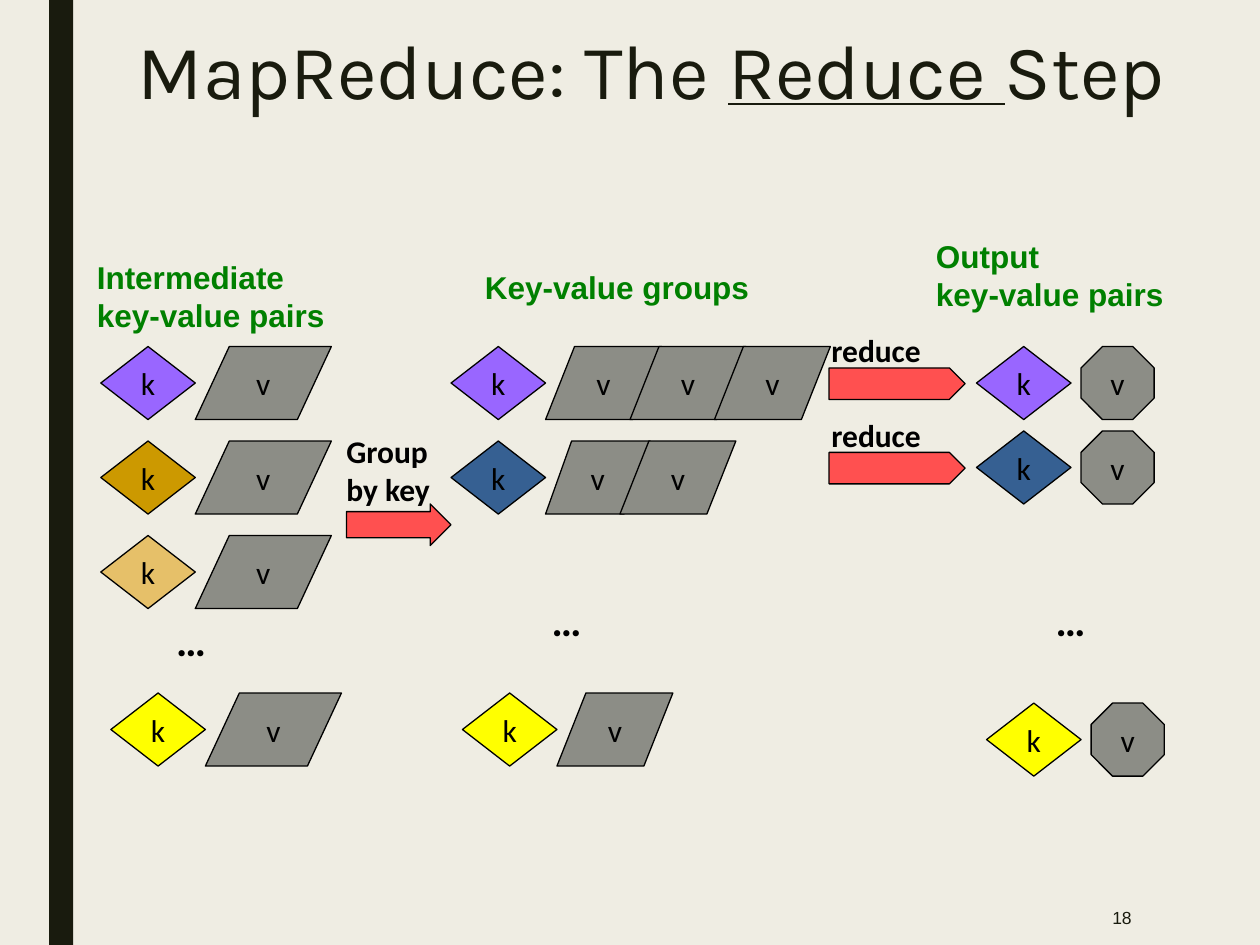
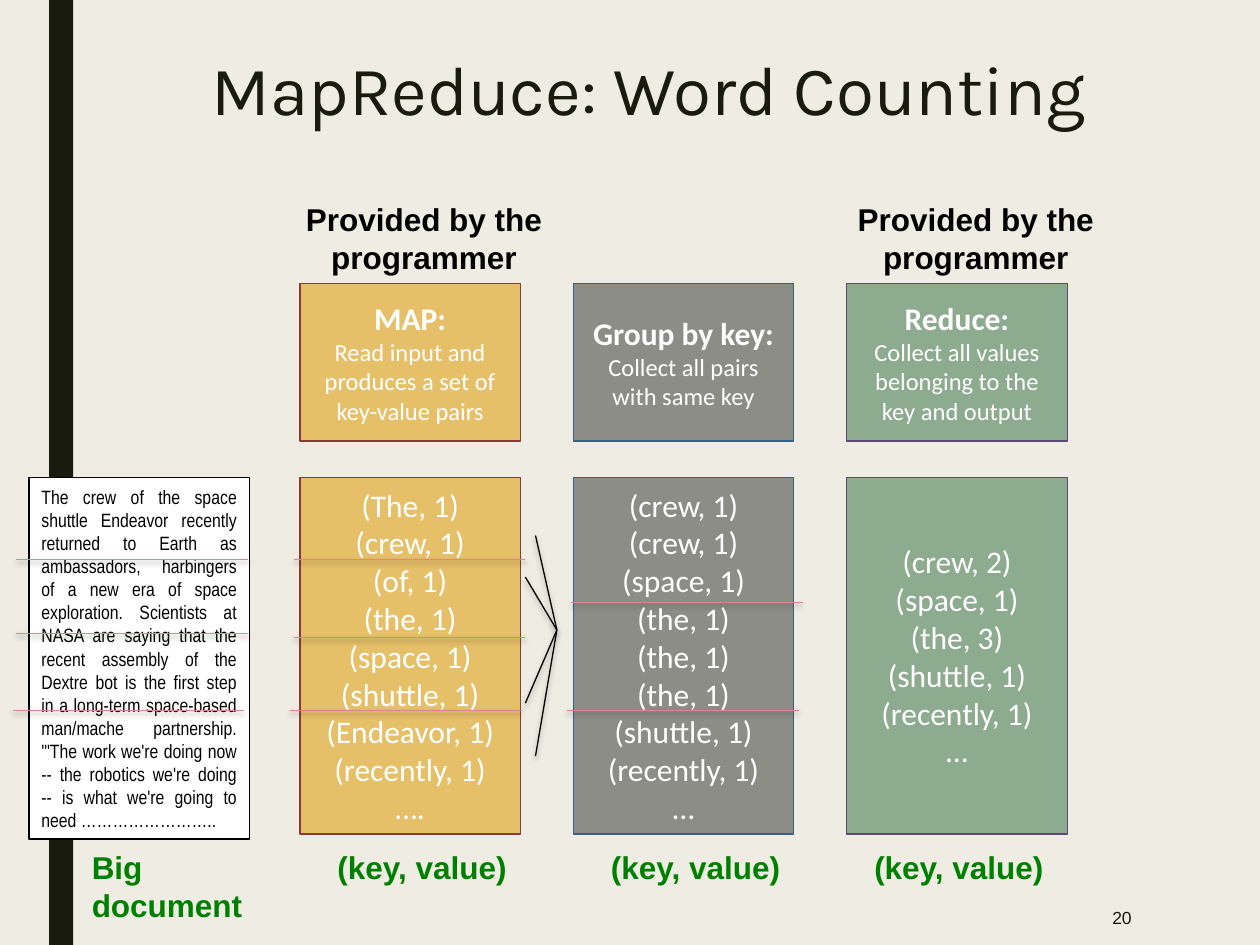
"""Build two slides on the MapReduce steps."""
from lxml import etree
from pptx import Presentation
from pptx.dml.color import RGBColor
from pptx.enum.shapes import MSO_CONNECTOR, MSO_SHAPE
from pptx.enum.text import MSO_ANCHOR, MSO_AUTO_SIZE, PP_ALIGN
from pptx.oxml.ns import qn
from pptx.util import Inches, Pt

STRAIGHT = MSO_CONNECTOR.STRAIGHT
RECTANGLE, DIAMOND, OCTAGON = MSO_SHAPE.RECTANGLE, MSO_SHAPE.DIAMOND, MSO_SHAPE.OCTAGON
PARALLELOGRAM, ARROW = MSO_SHAPE.PARALLELOGRAM, MSO_SHAPE.RIGHT_ARROW
LEFT, CENTER, RIGHT, JUSTIFY = PP_ALIGN.LEFT, PP_ALIGN.CENTER, PP_ALIGN.RIGHT, PP_ALIGN.JUSTIFY
TOP, MIDDLE = MSO_ANCHOR.TOP, MSO_ANCHOR.MIDDLE

COLORS = {
    "paper": "EFEDE3", "ink": "191B0E", "black": "000000", "white": "FFFFFF",
    "label": "008000", "arrow": "FF5050", "gray": "8C8D86", "purple": "9966FF",
    "ochre": "CC9900", "sand": "E6C069", "blue": "366092", "yellow": "FFFF00",
    "sage": "8DAB8E", "map_edge": "8C3A38", "group_edge": "395E89",
    "reduce_edge": "5D4876", "divider": "E28394",
}
KEY_WIDTH, PART_HEIGHT = 0.75, 0.58
COLUMN_WIDTH, CARD_HEIGHT, LIST_HEIGHT = 1.75, 1.25, 2.83
LIST_OFFSET, CAPTION_OFFSET = 1.54, 4.43
STORY = (
    "The crew of the space shuttle Endeavor recently returned to Earth as ambassadors, "
    "harbingers of a new era of space exploration. Scientists at NASA are saying that the "
    "recent assembly of the Dextre bot is the first step in a long-term space-based "
    "man/mache partnership. '\"The work we're doing now -- the robotics we're doing -- is "
    "what we're going to need ……………………..")


def color(name):
    """Return the named colour."""
    return RGBColor.from_string(COLORS[name])


def inches(*lengths):
    """Convert numbers to lengths in inches."""
    return [Inches(length) for length in lengths]


def write_text(holder, lines, size=18, font="Calibri", ink="black", bold=False,
               align=LEFT, anchor=TOP, spacing=None):
    """Write one paragraph per line, each a string or a list of (text, format) spans."""
    frame = holder.text_frame
    frame.word_wrap, frame.auto_size = True, MSO_AUTO_SIZE.NONE
    frame.vertical_anchor = anchor
    for index, line in enumerate(lines):
        para = frame.add_paragraph() if index else frame.paragraphs[0]
        para.alignment = align
        if spacing:
            para.line_spacing = spacing
        for text, changes in [(line, {})] if isinstance(line, str) else line:
            span = para.add_run()
            span.text = text
            span.font.name, span.font.color.rgb = font, color(ink)
            span.font.size = Pt(changes.get("size", size))
            span.font.bold = changes.get("bold", bold)
            span.font.underline = changes.get("underline", False)


def add_label(page, box, *lines, **style):
    """Add a text box."""
    write_text(page.shapes.add_textbox(*inches(*box)), lines, **style)


def add_heading(page, box, *lines):
    """Add a bold green label."""
    add_label(page, box, *lines, font="Arial", ink="label", bold=True)


def add_figure(page, kind, box, fill, edge="black", lines=(), **style):
    """Add a filled preset shape with optional text."""
    figure = page.shapes.add_shape(kind, *inches(*box))
    figure.shadow.inherit = False
    figure.fill.solid()
    figure.fill.fore_color.rgb = color(fill)
    if edge:
        figure.line.color.rgb, figure.line.width = color(edge), Pt(0.75)
    else:
        figure.line.fill.background()
    write_text(figure, lines, **{"align": CENTER, "anchor": MIDDLE, **style})
    return figure


def add_line(page, start, end, ink, opacity):
    """Add a thin line with a soft shadow below it."""
    line = page.shapes.add_connector(STRAIGHT, *inches(*start, *end))
    line.line.color.rgb, line.line.width = color(ink), Pt(0.75)
    effects = etree.SubElement(line._element.spPr, qn("a:effectLst"))
    shadow = etree.SubElement(effects, qn("a:outerShdw"), blurRad=str(Pt(3.1)),
                              dist=str(Pt(1.8)), dir="5400000", rotWithShape="0")
    shade = etree.SubElement(shadow, qn("a:srgbClr"), val=COLORS["black"])
    etree.SubElement(shade, qn("a:alpha"), val=str(opacity * 1000))


def add_page(deck, title_box, title, size, number):
    """Add a slide with the side band, title and page number."""
    page = deck.slides.add_slide(deck.slide_layouts[5])
    add_figure(page, RECTANGLE, (0.39, 0, 0.19, 7.5), "ink", edge=None)
    heading = page.shapes.title
    heading.left, heading.top, heading.width, heading.height = inches(*title_box)
    write_text(heading, [title], size=size, font="Karla", ink="ink", align=CENTER,
               anchor=MIDDLE, spacing=0.89)
    add_label(page, (7.77, 7.06, 1.31, 0.44), number, size=10, font="Arial", ink="ink",
              align=RIGHT, anchor=MIDDLE)
    return page


def add_slanted(page, kind, box, fill, lines=()):
    """Add a shape whose slant or head takes a quarter of its width."""
    figure = add_figure(page, kind, box, fill, lines=lines)
    figure.adjustments[0] = 0.25 * box[2] / box[3]


def add_pair(page, left, top, key_color, widths, step=0.67):
    """Draw a key diamond followed by slanted value boxes."""
    add_figure(page, DIAMOND, (left, top, KEY_WIDTH, PART_HEIGHT), key_color, lines=["k"])
    for index, width in enumerate(widths):
        value_box = (left + KEY_WIDTH + index * step, top, width, PART_HEIGHT)
        add_slanted(page, PARALLELOGRAM, value_box, "gray", ["v"])


def add_result(page, left, top, key_color):
    """Draw a key diamond with its octagonal output value."""
    add_pair(page, left, top, key_color, [])
    add_figure(page, OCTAGON, (left + 0.83, top, PART_HEIGHT, PART_HEIGHT), "gray", lines=["v"])


def add_dots(page, left, top):
    """Add a bold ellipsis."""
    add_label(page, (left, top, 0.55, 0.5), "…", size=24, bold=True)


def intermediate_region(page, left, top):
    """Draw the intermediate pairs."""
    add_heading(page, (left - 0.13, top - 0.75, 2.02, 0.71), "Intermediate", "key-value pairs")
    for row, key_color in enumerate(["purple", "ochre", "sand"]):
        add_pair(page, left, top + 0.75 * row, key_color, [1.08])
    add_dots(page, left + 0.5, top + 2.08)
    add_pair(page, left + 0.08, top + 2.75, "yellow", [1.08])


def group_region(page, left, top):
    """Draw the pairs grouped by key."""
    add_heading(page, (left + 0.17, top - 0.67, 2.58, 0.4), "Key-value groups")
    add_pair(page, left, top, "purple", [0.92] * 3)
    add_pair(page, left, top + 0.75, "blue", [0.83, 0.92], step=0.59)
    add_dots(page, left + 0.7, top + 1.92)
    add_pair(page, left + 0.09, top + 2.75, "yellow", [0.92])


def output_region(page, left, top):
    """Draw the reduce arrows and the output pairs."""
    add_heading(page, (left - 0.42, top - 0.92, 2.25, 0.7), "Output", "key-value pairs")
    for row, key_color in enumerate(["purple", "blue"]):
        row_top = top + 0.67 * row
        add_slanted(page, ARROW, (left - 1.17, row_top + 0.17, 1.08, 0.25), "arrow")
        add_label(page, (left - 1.25, row_top - 0.17, 0.94, 0.4), "reduce", bold=True)
        add_result(page, left, row_top, key_color)
    add_dots(page, left + 0.53, top + 1.92)
    add_result(page, left + 0.08, top + 2.83, "yellow")


def reduce_slide(deck):
    """Build the slide on the reduce step."""
    title = [("MapReduce: The ", {}), ("Reduce ", {"underline": True}), ("Step", {})]
    page = add_page(deck, (-0.52, -0.22, 11.38, 1.62), title, 44, "18")
    intermediate_region(page, 0.8, 2.75)
    add_slanted(page, ARROW, (2.75, 4, 0.83, 0.33), "arrow")
    add_label(page, (2.65, 3.38, 0.91, 0.71), "Group", "by key", bold=True)
    group_region(page, 3.58, 2.75)
    output_region(page, 7.75, 2.75)


def step_column(page, left, top, fill, edge, name, task, pairs, caption_shift):
    """Draw one step: its card, its list of pairs and the caption below."""
    card = [[(name, {"bold": True})], [(task, {"size": 14})]]
    add_figure(page, RECTANGLE, (left, top, COLUMN_WIDTH, CARD_HEIGHT), fill, edge, card,
               ink="white")
    add_figure(page, RECTANGLE, (left, top + LIST_OFFSET, COLUMN_WIDTH, LIST_HEIGHT), fill,
               edge, pairs, ink="white")
    add_heading(page, (left + caption_shift, top + CAPTION_OFFSET, 1.95, 0.4), "(key, value)")


def document_region(page, left, top):
    """Draw the input document and its caption."""
    add_figure(page, RECTANGLE, (left, top, COLUMN_WIDTH, 2.87), "white", lines=[STORY],
               size=11, font="Arial Narrow", align=JUSTIFY)
    add_heading(page, (left + 0.4, top + 2.89, 1.59, 0.71), "Big document")


def add_dividers(page, left, heights):
    """Draw chunk dividers, the lowest one shifted slightly left."""
    for index, height in enumerate(heights):
        start = left if index else left - 0.03
        add_line(page, (start, height), (start + 1.84, height), "divider", 35)


def shuffle_lines(page, left, top):
    """Draw the lines that meet between the map and group columns."""
    for shift, height in [(0.08, 0), (0.08, 1.75), (0, 1.33), (0, 0.33)]:
        add_line(page, (left + shift, top + height), (left + 0.25, top + 0.75), "black", 37)


def counting_slide(deck):
    """Build the slide on word counting."""
    page = add_page(deck, (1.21, -0.07, 7.88, 1.62), "MapReduce: Word Counting", 39.6, "20")
    document_region(page, 0.23, 3.79)
    steps = [
        ("sand", "map_edge", "MAP:", "Read input and produces a set of key-value pairs",
         ["(The, 1)", "(crew, 1)", "(of, 1)", "(the, 1)", "(space, 1)", "(shuttle, 1)",
          "(Endeavor, 1)", "(recently, 1)", "…."], 0.2),
        ("gray", "group_edge", "Group by key:", "Collect all pairs with same key",
         ["(crew, 1)", "(crew, 1)", "(space, 1)", "(the, 1)", "(the, 1)", "(the, 1)",
          "(shuttle, 1)", "(recently, 1)", "…"], 0.2),
        ("sage", "reduce_edge", "Reduce:", "Collect all values belonging to the key and output",
         ["(crew, 2)", "(space, 1)", "(the, 3)", "(shuttle, 1)", "(recently, 1)", "…"], 0.12),
    ]
    for index, step in enumerate(steps):
        step_column(page, 2.38 + 2.17 * index, 2.25, *step)
    for left in (2.2, 6.58):
        add_label(page, (left, 1.54, 2.33, 0.71), "Provided by the programmer", font="Arial",
                  bold=True, align=CENTER)
    add_dividers(page, 2.33, [5.64, 5.06, 4.44])
    add_dividers(page, 4.53, [5.64, 4.78])
    add_dividers(page, 0.13, [5.64, 5.03, 4.44])
    shuffle_lines(page, 4.17, 4.25)


def main():
    """Build and save the deck."""
    deck = Presentation()
    deck.slide_width, deck.slide_height = inches(10, 7.5)
    paper = deck.slide_master.background.fill
    paper.solid()
    paper.fore_color.rgb = color("paper")
    reduce_slide(deck)
    counting_slide(deck)
    deck.save("out.pptx")


if __name__ == "__main__":
    main()
